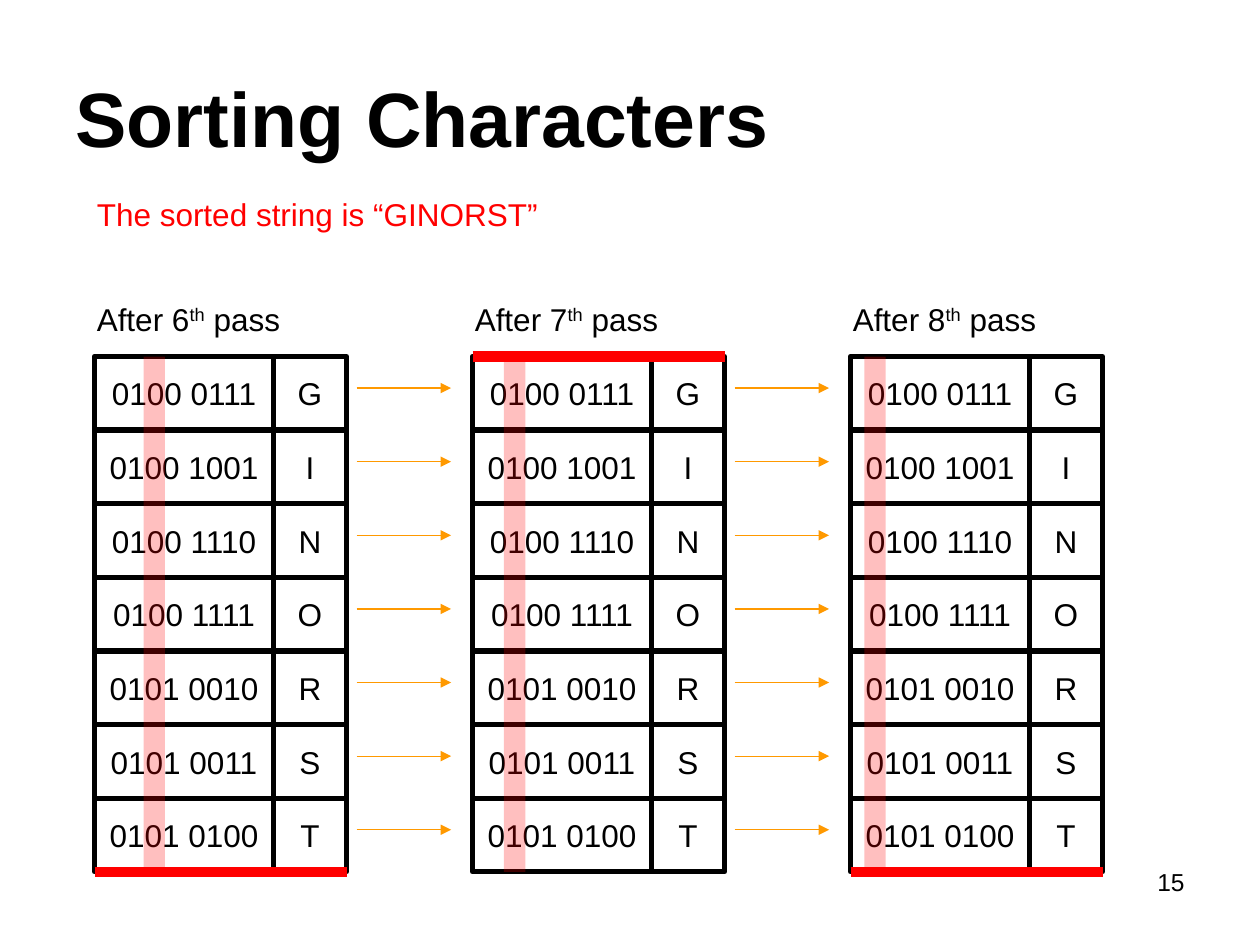
from lxml import etree
from pptx import Presentation
from pptx.dml.color import RGBColor
from pptx.enum import shapes, text
from pptx.oxml import ns
from pptx.util import Inches, Pt


def color(value):
    return RGBColor.from_string(value)


def write(shape, parts, size=18, ink="000000", bold=False, align=text.PP_ALIGN.LEFT, **frame_format):
    frame = shape.text_frame
    for key, value in {"word_wrap": True, **frame_format}.items():
        setattr(frame, key, value)
    paragraph = frame.paragraphs[0]
    paragraph.alignment = align
    for content, baseline in parts:
        run = paragraph.add_run()
        run.text = content
        for key, value in {"name": "Arial", "size": Pt(size), "bold": bold}.items():
            setattr(run.font, key, value)
        run.font.color.rgb = color(ink)
        if baseline:
            run._r.get_or_add_rPr().set("baseline", str(baseline))


prs = Presentation()
prs.slide_width, prs.slide_height = Inches(10), Inches(7.5)
slide = prs.slides.add_slide(prs.slide_layouts[5])
canvas = slide.shapes

title = canvas.title
for side, inches in {"left": 0.5, "top": 0.3, "width": 9, "height": 1.25}.items():
    setattr(title, side, Inches(inches))
write(title, [("Sorting Characters", 0)], size=44, bold=True,
      auto_size=text.MSO_AUTO_SIZE.NONE, vertical_anchor=text.MSO_ANCHOR.MIDDLE)

page_number = canvas.add_textbox(Inches(7.17), Inches(6.83), Inches(2.33), Inches(0.52))
write(page_number, [("15", 0)], size=14, align=text.PP_ALIGN.RIGHT)

codes = {
    "G": "0100 0111",
    "I": "0100 1001",
    "N": "0100 1110",
    "O": "0100 1111",
    "R": "0101 0010",
    "S": "0101 0011",
    "T": "0101 0100",
}
grid_top, grid_bottom = 2.83, 6.92
row_height = (grid_bottom - grid_top) / len(codes)
code_width, letter_width = 1.42, 0.58
grid_width = code_width + letter_width
passes = [("6", 0.75, 1.14, grid_bottom), ("7", 3.75, 4, grid_top), ("8", 6.75, 6.86, grid_bottom)]
lines = []

for number, left, bit_left, edge in passes:
    for row, (letter, code) in enumerate(codes.items()):
        top = grid_top + row * row_height
        for content, cell_left, width in [(letter, left + code_width, letter_width), (code, left, code_width)]:
            cell = canvas.add_shape(shapes.MSO_SHAPE.RECTANGLE, Inches(cell_left), Inches(top),
                                    Inches(width), Inches(row_height))
            cell.shadow.inherit = False
            cell.fill.solid()
            cell.fill.fore_color.rgb = color("FFFFFF")
            cell.line.color.rgb = color("000000")
            cell.line.width = Pt(3)
            write(cell, [(content, 0)], align=text.PP_ALIGN.CENTER, word_wrap=False,
                  vertical_anchor=text.MSO_ANCHOR.MIDDLE)
        if number != "8":
            lines.append((left + 2.08, left + 2.83, top + 0.25, "FF9900", 0.75, True))

    heading = canvas.add_textbox(Inches(left - 0.08), Inches(2.33), Inches(2.17), Inches(0.4))
    write(heading, [("After " + number, 0), ("th", 30000), (" pass", 0)],
          auto_size=text.MSO_AUTO_SIZE.SHAPE_TO_FIT_TEXT)

    bit_column = canvas.add_shape(shapes.MSO_SHAPE.RECTANGLE, Inches(bit_left), Inches(grid_top),
                                  Inches(0.17), Inches(grid_bottom - grid_top))
    bit_column.shadow.inherit = False
    bit_column.fill.solid()
    bit_column.fill.fore_color.rgb = color("FF0000")
    bit_column.line.fill.background()
    tint = bit_column._element.spPr.find(ns.qn("a:solidFill"))[0]
    etree.SubElement(tint, ns.qn("a:alpha"), val="25000")
    lines.append((left, left + grid_width, edge, "FF0000", 6, False))

sorted_string = canvas.add_textbox(Inches(0.67), Inches(1.5), Inches(4.42), Inches(0.4))
write(sorted_string, [("The sorted string is “GINORST”", 0)], ink="FF0000",
      auto_size=text.MSO_AUTO_SIZE.SHAPE_TO_FIT_TEXT)

for start, end, level, ink, weight, has_arrow in lines:
    line = canvas.add_connector(shapes.MSO_CONNECTOR.STRAIGHT, Inches(start), Inches(level),
                                Inches(end), Inches(level))
    line.line.color.rgb = color(ink)
    line.line.width = Pt(weight)
    if has_arrow:
        etree.SubElement(line.line._get_or_add_ln(), ns.qn("a:tailEnd"), type="triangle")
    etree.SubElement(line._element.spPr, ns.qn("a:effectLst"))

prs.save("out.pptx")
